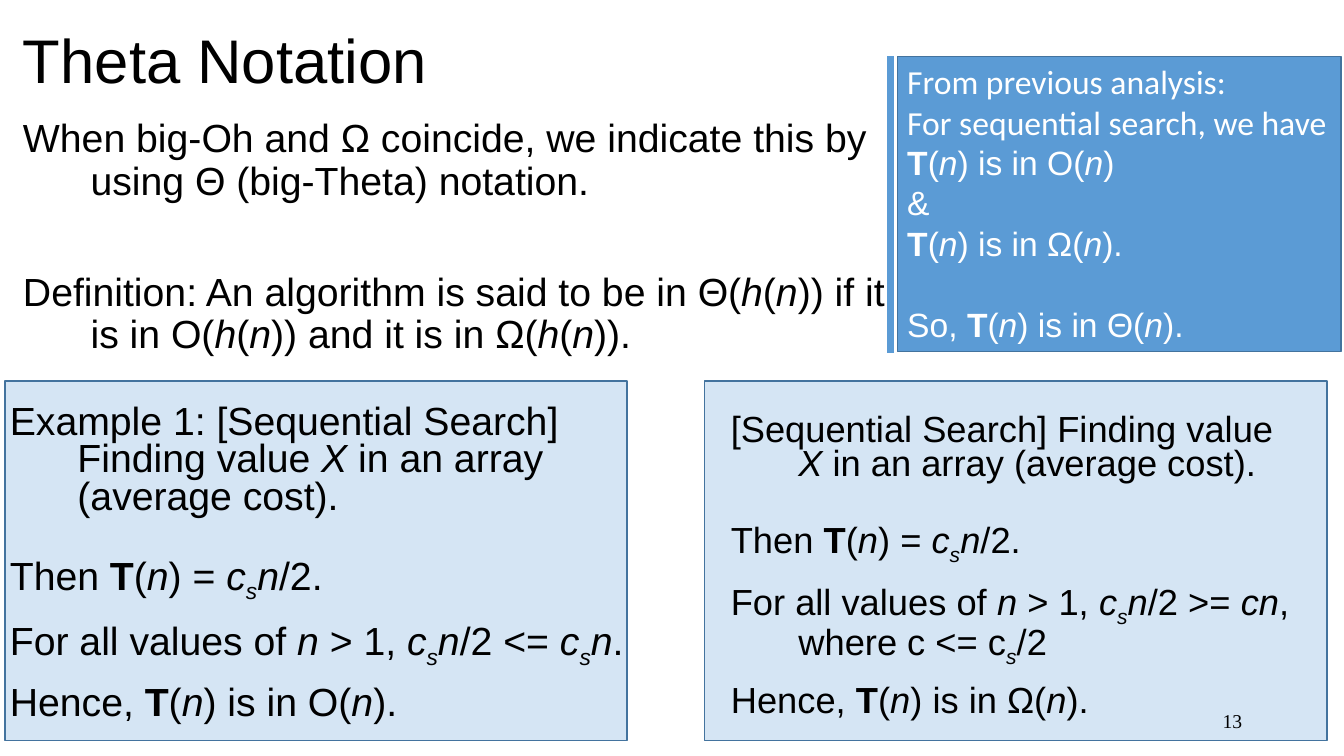
from lxml import etree
from pptx import Presentation
from pptx.dml.color import RGBColor
from pptx.enum.shapes import MSO_CONNECTOR, MSO_SHAPE
from pptx.enum.text import MSO_ANCHOR, PP_ALIGN
from pptx.oxml.ns import qn
from pptx.util import Inches, Pt

RECTANGLE = MSO_SHAPE.RECTANGLE
STRAIGHT = MSO_CONNECTOR.STRAIGHT
TOP, MIDDLE = MSO_ANCHOR.TOP, MSO_ANCHOR.MIDDLE
LEFT, RIGHT = PP_ALIGN.LEFT, PP_ALIGN.RIGHT
BLUE, DARK_BLUE, BLACK, WHITE = "5B9BD5", "43739E", "000000", "FFFFFF"
HANGING = Inches(0.67)
RUN_STYLES = {"b": {"bold": True}, "i": {"italic": True}, "s": {"italic": True}}


def color(value):
    return RGBColor.from_string(value)


def write(shape, lines, size, text_color=BLACK, name="Arial", anchor=TOP,
          align=LEFT, wrap=True, hanging=False, spacing=1.0):
    frame = shape.text_frame
    frame.word_wrap = wrap
    frame.vertical_anchor = anchor
    for index, (text, options) in enumerate(lines):
        paragraph = frame.paragraphs[0] if index == 0 else frame.add_paragraph()
        formats = {"alignment": align, "line_spacing": spacing,
                   "space_before": Pt(options.get("before", 0)),
                   "space_after": Pt(options.get("after", 0))}
        for attribute, value in formats.items():
            setattr(paragraph, attribute, value)
        if hanging:
            properties = paragraph._p.get_or_add_pPr()
            properties.set("marL", str(HANGING))
            properties.set("indent", str(-HANGING))
        for piece in text.split("|"):
            style = piece[0] if piece[1:2] == ":" else ""
            run = paragraph.add_run()
            run.text = piece[2:] if style else piece
            font_values = {"name": options.get("name", name), "size": Pt(size),
                           **RUN_STYLES.get(style, {})}
            for attribute, value in font_values.items():
                setattr(run.font, attribute, value)
            run.font.color.rgb = color(text_color)
            if style == "s":
                run._r.get_or_add_rPr().set("baseline", "-25000")


presentation = Presentation()
presentation.slide_width = Inches(13.33)
presentation.slide_height = Inches(7.5)
slide = presentation.slides.add_slide(presentation.slide_layouts[6])
shapes = slide.shapes

panels = [(6.99, 3.78, 6.17, 3.57, 25), (0.05, 3.78, 6.17, 3.57, 25),
          (8.9, 0.56, 4.4, 2.93, 100)]
for left, top, width, height, opacity in panels:
    panel = shapes.add_shape(RECTANGLE, Inches(left), Inches(top), Inches(width), Inches(height))
    panel.shadow.inherit = False
    panel.fill.solid()
    panel.fill.fore_color.rgb = color(BLUE)
    panel.line.color.rgb = color(DARK_BLUE)
    panel.line.width = Pt(1)
    if opacity < 100:
        fill_color = panel._element.spPr.find(qn("a:solidFill"))[0]
        etree.SubElement(fill_color, qn("a:alpha")).set("val", str(opacity * 1000))
summary = panel

summary_lines = [
    ("From previous analysis:", {"name": "Calibri"}),
    ("For sequential search, we have", {"name": "Calibri"}),
    ("b:T|(|i:n|) is in O(|i:n|)", {}),
    ("&", {}),
    ("b:T|(|i:n|) is in Ω(|i:n|).", {}),
    ("So, |b:T|(|i:n|) is in Θ(|i:n|).", {"before": 29}),
]
write(summary, summary_lines, 24, text_color=WHITE, wrap=False)

title = shapes.add_textbox(Inches(0.13), Inches(0.13), Inches(9), Inches(1))
write(title, [("Theta Notation", {})], 44, anchor=MIDDLE, spacing=0.9)

definition = shapes.add_textbox(Inches(0.13), Inches(1.13), Inches(9), Inches(2.65))
definition_lines = [
    ("When big-Oh and Ω coincide, we indicate this by using Θ (big-Theta) notation.", {}),
    ("Definition: An algorithm is said to be in Θ(|i:h|(|i:n|)) if it is in O(|i:h|(|i:n|)) "
     "and it is in Ω(|i:h|(|i:n|)).", {"before": 49}),
]
write(definition, definition_lines, 28, hanging=True, spacing=0.9)

examples = [
    (7.15, 4.06, 5.85, 3.01, 25.9, "[Sequential Search]",
     ">= |i:cn|, where c <= c|s:s|/2", "Ω"),
    (0, 3.97, 6.77, 3.19, 28, "Example 1: [Sequential Search]",
     "<= |i:c|s:s|i:n|.", "O"),
]
for left, top, width, height, size, heading, bound, order in examples:
    example = shapes.add_textbox(Inches(left), Inches(top), Inches(width), Inches(height))
    step = {"before": 10, "after": 6}
    example_lines = [
        (f"{heading} Finding value |i:X| in an array (average cost).", {"after": 17}),
        ("Then |b:T|(|i:n|) = |i:c|s:s|i:n|/2.", step),
        (f"For all values of |i:n| > 1, |i:c|s:s|i:n|/2 {bound}", step),
        (f"Hence, |b:T|(|i:n|) is in {order}(|i:n|).", step),
    ]
    write(example, example_lines, size, hanging=True, spacing=0.8)

page_number = shapes.add_textbox(Inches(9.42), Inches(6.95), Inches(3), Inches(0.4))
write(page_number, [("13", {})], 14, name="Times New Roman", anchor=MIDDLE, align=RIGHT)

accent = shapes.add_connector(STRAIGHT, Inches(8.83), Inches(0.56), Inches(8.83), Inches(3.5))
accent.line.color.rgb = color(BLUE)
accent.line.width = Pt(5)
etree.SubElement(accent._element.spPr, qn("a:effectLst"))

presentation.save("out.pptx")
